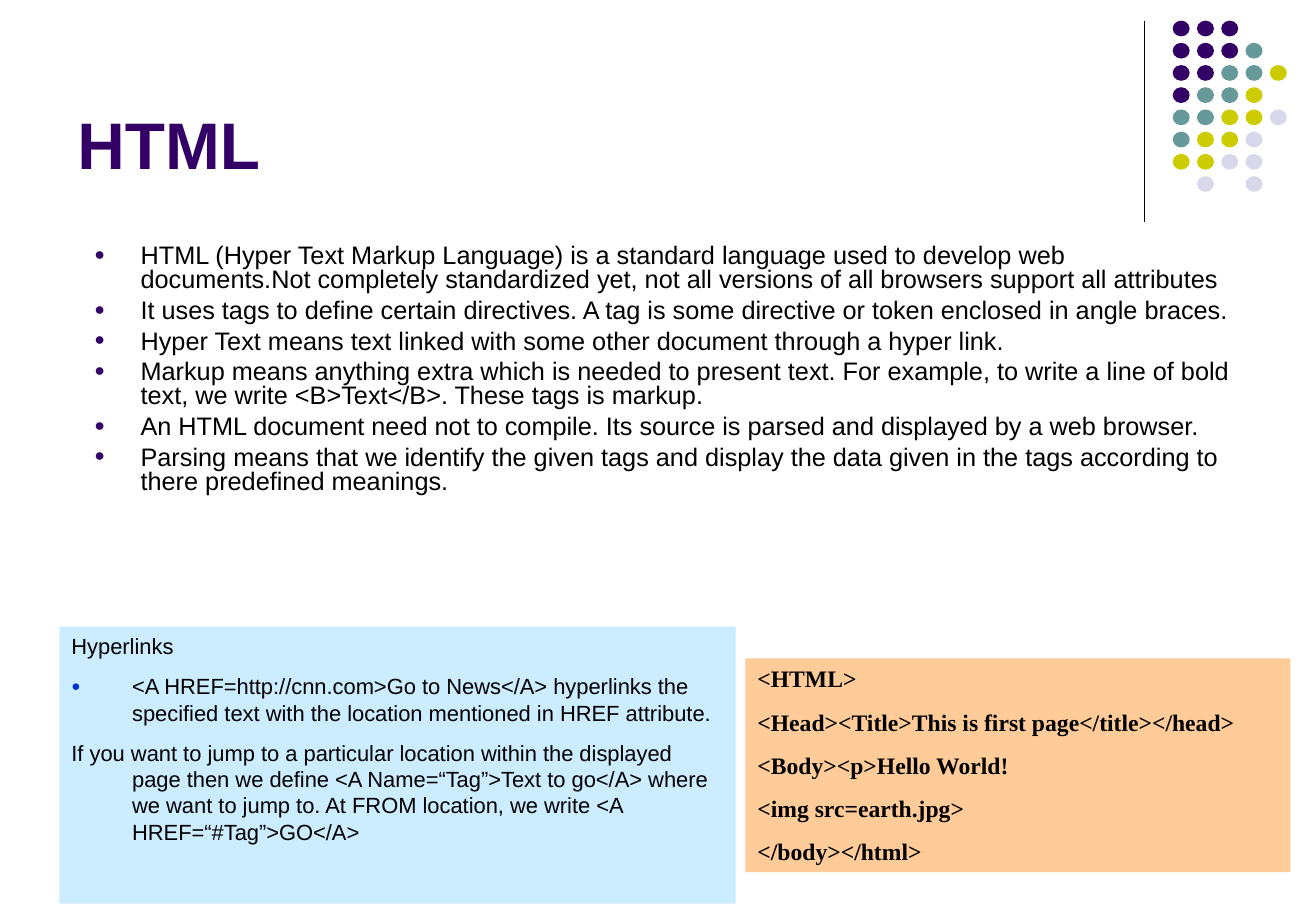
from lxml import etree
from pptx import Presentation
from pptx.dml.color import RGBColor
from pptx.enum.shapes import MSO_CONNECTOR, MSO_SHAPE
from pptx.enum.text import MSO_ANCHOR, PP_ALIGN
from pptx.oxml.ns import qn
from pptx.util import Inches, Pt

RECTANGLE, ELLIPSE = MSO_SHAPE.RECTANGLE, MSO_SHAPE.OVAL
STRAIGHT = MSO_CONNECTOR.STRAIGHT
TOP, BOTTOM = MSO_ANCHOR.TOP, MSO_ANCHOR.BOTTOM
LEFT = PP_ALIGN.LEFT

PURPLE = RGBColor(0x33, 0x00, 0x66)
TEAL = RGBColor(0x66, 0x99, 0x99)
OLIVE = RGBColor(0xCC, 0xCC, 0x00)
LAVENDER = RGBColor(0xD8, 0xD8, 0xEC)
BLACK = RGBColor(0x00, 0x00, 0x00)
BLUE = RGBColor(0x00, 0x33, 0xCC)
SKY = RGBColor(0xCC, 0xEC, 0xFF)
PEACH = RGBColor(0xFF, 0xCC, 0x99)

DOT_COLOURS = {"P": PURPLE, "T": TEAL, "O": OLIVE, "L": LAVENDER}
DOT_ROWS = ["PPP", "PPPT", "PPTTO", "PTTO", "TTOOL", "TOOL", "OOLL", " L L"]

FACTS = [
    "HTML (Hyper Text Markup Language) is a standard language used to develop web "
    "documents.Not completely standardized yet, not all versions of all browsers "
    "support all attributes",
    "It uses tags to define certain directives. A tag is some directive or token "
    "enclosed in angle braces.",
    "Hyper Text means text linked with some other document through a hyper link.",
    "Markup means anything extra which is needed to present text. For example, to "
    "write a line of bold text, we write <B>Text</B>. These tags is markup.",
    "An HTML document need not to compile. Its source is parsed and displayed by a "
    "web browser.",
    "Parsing means that we identify the given tags and display the data given in the "
    "tags according to there predefined meanings.",
]
HYPERLINKS = [
    "Hyperlinks",
    "<A HREF=http://cnn.com>Go to News</A> hyperlinks the specified text with the "
    "location mentioned in HREF attribute.",
    "If you want to jump to a particular location within the displayed page then we "
    "define <A Name=“Tag”>Text to go</A> where we want to jump to. At FROM location, "
    "we write <A HREF=“#Tag”>GO</A>",
]
CODE = [
    "<HTML>",
    "<Head><Title>This is first page</title></head>",
    "<Body><p>Hello World!",
    "<img src=earth.jpg>",
    "</body></html>",
]


def set_indent(para, hang, bullet_colour=None):
    """Give a paragraph a hanging indent and, with a colour, a round bullet."""
    props = para._p.get_or_add_pPr()
    props.set("marL", str(Inches(hang)))
    props.set("indent", str(-Inches(hang)))
    if bullet_colour is None:
        return
    colour = etree.SubElement(props, qn("a:buClr"))
    etree.SubElement(colour, qn("a:srgbClr"), val=str(bullet_colour))
    etree.SubElement(props, qn("a:buSzPct"), val="70000")
    etree.SubElement(props, qn("a:buFont"), typeface="Arial")
    etree.SubElement(props, qn("a:buChar"), char="●")


def write_lines(shape, lines, size, font="Arial", colour=BLACK, bold=False, gap=0,
                spacing=1.0, anchor=TOP, hang=0, bullets=None):
    """Fill a shape with paragraphs; bullets maps line numbers to bullet colours."""
    frame = shape.text_frame
    frame.word_wrap = True
    frame.vertical_anchor = anchor
    for number, line in enumerate(lines):
        para = frame.add_paragraph() if number else frame.paragraphs[0]
        set_indent(para, hang, (bullets or {}).get(number))
        para.text = line
        para.alignment = LEFT
        para.line_spacing = spacing
        para.space_before = Pt(gap if number else 0)
        para.font.name = font
        para.font.size = Pt(size)
        para.font.bold = bold
        para.font.color.rgb = colour


def add_filled(shapes, kind, box, colour):
    """Add a flat shape without outline or shadow."""
    shape = shapes.add_shape(kind, *map(Inches, box))
    shape.shadow.inherit = False
    shape.fill.solid()
    shape.fill.fore_color.rgb = colour
    shape.line.fill.background()
    return shape


def add_dot_ornament(page, box):
    """Draw the vertical rule and the pattern of dots to its right."""
    left, top, width, height = box
    rule = page.shapes.add_connector(
        STRAIGHT, *map(Inches, (left, top, left, top + height)))
    rule.line.color.rgb = BLACK
    rule.line.width = Pt(0.75)
    etree.SubElement(rule._element.spPr, qn("a:effectLst"))
    dot_width, dot_height, first = 0.14, 0.13, 0.23
    step_x = (width - first - dot_width) / 4
    step_y = 1.28 / (len(DOT_ROWS) - 1)
    dots = page.shapes.add_group_shape()
    for row, pattern in enumerate(DOT_ROWS):
        for column, key in enumerate(pattern):
            if key in DOT_COLOURS:
                place = (left + first + column * step_x, top + row * step_y,
                         dot_width, dot_height)
                add_filled(dots.shapes, ELLIPSE, place, DOT_COLOURS[key])


def add_title(page, box):
    """Add the slide heading at the bottom of its box."""
    title = page.shapes.add_textbox(*map(Inches, box))
    write_lines(title, ["HTML"], 39, colour=PURPLE, bold=True, anchor=BOTTOM)


def add_facts(page, box):
    """Add the bulleted list about HTML."""
    facts = page.shapes.add_textbox(*map(Inches, box))
    write_lines(facts, FACTS, 15, gap=3.7, spacing=0.8, hang=0.38,
                bullets=dict.fromkeys(range(len(FACTS)), PURPLE))


def add_code_panel(page, box):
    """Add the panel with the sample document."""
    panel = add_filled(page.shapes, RECTANGLE, box, PEACH)
    write_lines(panel, CODE, 14, font="Times New Roman", bold=True, gap=8.8)


def add_hyperlink_panel(page, box):
    """Add the panel that explains hyperlinks."""
    panel = add_filled(page.shapes, RECTANGLE, box, SKY)
    write_lines(panel, HYPERLINKS, 13, gap=8.1, hang=0.5, bullets={1: BLUE})


def main():
    """Build the slide and save the deck."""
    deck = Presentation()
    deck.slide_width, deck.slide_height = Inches(10.84), Inches(7.5)
    page = deck.slides.add_slide(deck.slide_layouts[6])
    add_dot_ornament(page, (9.43, 0.17, 1.17, 1.66))
    add_title(page, (0.54, 0.13, 8.94, 1.42))
    add_facts(page, (0.68, 1.97, 9.61, 2.91))
    add_code_panel(page, (6.14, 5.42, 4.49, 1.76))
    add_hyperlink_panel(page, (0.49, 5.16, 5.57, 2.28))
    deck.save("out.pptx")


if __name__ == "__main__":
    main()
